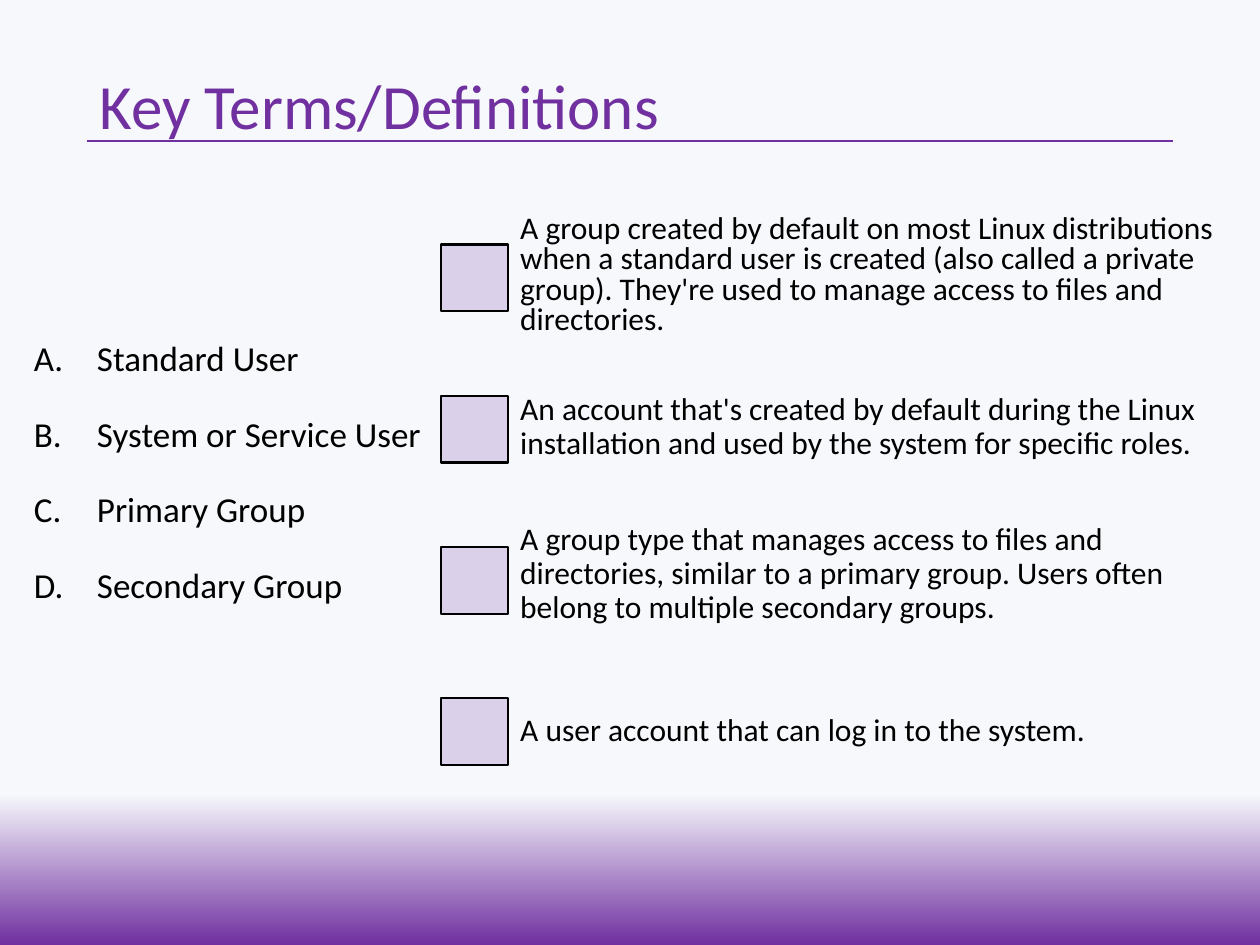
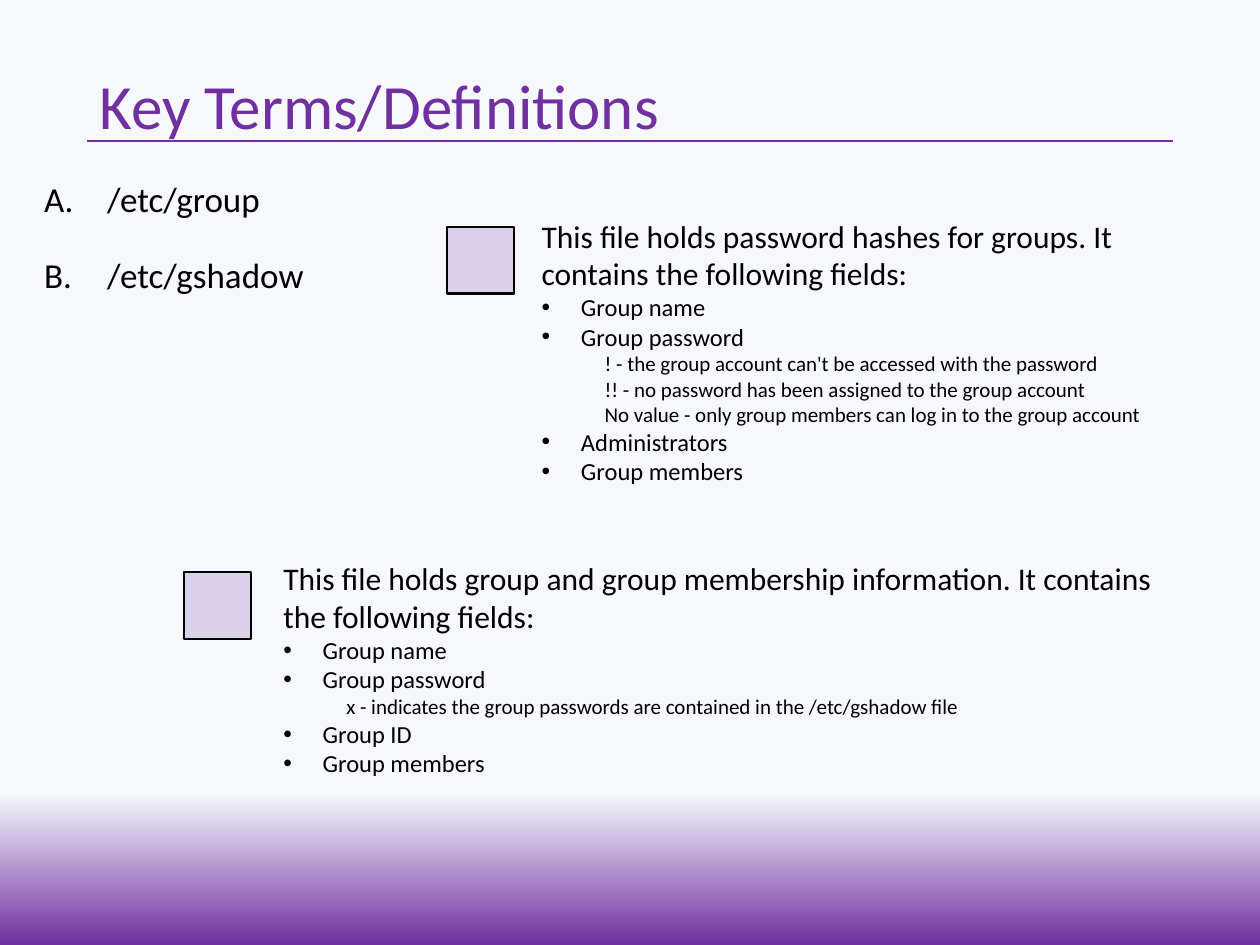
import pptx
import pptx.dml.color
import pptx.enum.shapes
import pptx.enum.text
import pptx.oxml.ns
import pptx.util
from lxml import etree

Pt = pptx.util.Pt
FONT = "Calibri"
PURPLE, PALE, BLACK = "7030A0", "F6F8FC", "000000"
BLANK_SIZE = 38.2

DEFINITIONS = [  # top, height, line spacing, wording
    (119.5, 82.8, 0.8, "A group created by default on most Linux distributions when a "
     "standard user is created (also called a private group). They're used to "
     "manage access to files and directories."),
    (221, 49.7, 0.9, "An account that's created by default during the Linux "
     "installation and used by the system for specific roles."),
    (295.2, 71.3, 0.9, "A group type that manages access to files and directories, "
     "similar to a primary group. Users often belong to multiple secondary groups."),
    (404.6, 30.2, 0.9, "A user account that can log in to the system."),
]

GSHADOW_FIELDS = [
    ("intro", "This file holds password hashes for groups. It contains the following fields:"),
    ("field", "Group name"),
    ("field", "Group password"),
    ("value", "! - the group account can't be accessed with the password"),
    ("value", "!! - no password has been assigned to the group account"),
    ("value", "No value - only group members can log in to the group account"),
    ("field", "Administrators"),
    ("field", "Group members"),
]

GROUP_FIELDS = [
    ("intro", "This file holds group and group membership information. "
     "It contains the following fields:"),
    ("field", "Group name"),
    ("field", "Group password"),
    ("value", "x - indicates the group passwords are contained in the /etc/gshadow file"),
    ("field", "Group ID"),
    ("field", "Group members"),
]

FIELD_SIZES = {"intro": 18, "field": 14, "value": 12}


def rgb(hex_color):
    return pptx.dml.color.RGBColor.from_string(hex_color)


def add_xml(parent, tag, **attributes):
    return etree.SubElement(parent, pptx.oxml.ns.qn(tag), **attributes)


def indent(paragraph, left, first=0):
    properties = paragraph._p.get_or_add_pPr()
    properties.set("marL", str(Pt(left)))
    properties.set("indent", str(Pt(first)))
    return properties


class Deck:
    def __init__(self):
        self.prs = pptx.Presentation()
        self.prs.slide_width, self.prs.slide_height = Pt(720), Pt(540)
        self.slide = None
        backdrop = self.prs.slide_master.background.fill
        backdrop.gradient()
        backdrop.gradient_angle = 270
        for stop, color, position in zip(backdrop.gradient_stops, (PALE, PURPLE), (0.84, 1)):
            stop.color.rgb = rgb(color)
            stop.position = position

    def start_slide(self, title):
        """Add a slide with the shared title and the rule under it."""
        self.slide = self.prs.slides.add_slide(self.prs.slide_layouts[1])
        heading = self.slide.shapes.title
        frame = self.place(heading, 49.7, 23.8, 620.6, 77)
        frame.vertical_anchor = pptx.enum.text.MSO_ANCHOR.MIDDLE
        self.set_text(frame.paragraphs[0], title, 36, PURPLE, 0.9)
        rule = self.slide.shapes.add_connector(
            pptx.enum.shapes.MSO_CONNECTOR.STRAIGHT, Pt(49.7), Pt(80.6), Pt(670.3), Pt(80.6))
        rule.line.color.rgb = rgb(PURPLE)
        rule.line.width = Pt(1.5)
        add_xml(rule._element.spPr, "a:effectLst")

    def place(self, shape, left, top, width, height):
        shape.left, shape.top = Pt(left), Pt(top)
        shape.width, shape.height = Pt(width), Pt(height)
        frame = shape.text_frame
        frame.word_wrap = True
        frame.auto_size = pptx.enum.text.MSO_AUTO_SIZE.NONE
        frame.vertical_anchor = pptx.enum.text.MSO_ANCHOR.TOP
        return frame

    def set_text(self, paragraph, text, size, color=BLACK, spacing=1.0, before=0):
        paragraph.alignment = pptx.enum.text.PP_ALIGN.LEFT
        paragraph.line_spacing = spacing
        paragraph.space_before = Pt(before)
        run = paragraph.add_run()
        run.text = text
        run.font.name, run.font.size = FONT, Pt(size)
        run.font.color.rgb = rgb(color)

    def paragraphs(self, frame, items):
        """Pair each item with its own paragraph of the frame."""
        for index, item in enumerate(items):
            yield (frame.add_paragraph() if index else frame.paragraphs[0]), item

    def terms(self, names, left, top, width, height):
        """Fill the body placeholder with a lettered list."""
        frame = self.place(self.slide.placeholders[1], left, top, width, height)
        for number, (paragraph, name) in enumerate(self.paragraphs(frame, names)):
            add_xml(indent(paragraph, 36, -36), "a:buAutoNum", type="alphaUcPeriod")
            self.set_text(paragraph, name, 20, spacing=0.9, before=21.6 if number else 0)

    def textbox(self, left, top, width, height):
        box = self.slide.shapes.add_textbox(0, 0, 0, 0)
        return self.place(box, left, top, width, height)

    def definition(self, text, top, height, spacing):
        frame = self.textbox(290.2, top, 424.8, height)
        self.set_text(frame.paragraphs[0], text, 18, spacing=spacing)

    def file_description(self, lines, left, top, width, height):
        frame = self.textbox(left, top, width, height)
        for paragraph, (role, text) in self.paragraphs(frame, lines):
            if role == "field":
                properties = indent(paragraph, 22.5, -22.5)
                add_xml(properties, "a:buFont", typeface="Arial")
                add_xml(properties, "a:buChar", char="•")
            elif role == "value":
                paragraph.level = 1
                indent(paragraph, 36)
            self.set_text(paragraph, text, FIELD_SIZES[role])

    def answer_blank(self, left, top):
        blank = self.slide.shapes.add_shape(
            pptx.enum.shapes.MSO_SHAPE.RECTANGLE,
            Pt(left), Pt(top), Pt(BLANK_SIZE), Pt(BLANK_SIZE))
        blank.shadow.inherit = False
        blank.fill.solid()
        blank.fill.fore_color.rgb = rgb(PURPLE)
        tint = blank._element.spPr.find(".//" + pptx.oxml.ns.qn("a:srgbClr"))
        add_xml(tint, "a:alpha", val="20000")
        blank.line.color.rgb = rgb(BLACK)
        blank.line.width = Pt(1.25)


def main():
    deck = Deck()

    deck.start_slide("Key Terms/Definitions")
    deck.terms(["Standard User", "System or Service User", "Primary Group", "Secondary Group"],
               12.2, 191.5, 259.2, 183.6)
    for row, (top, height, spacing, text) in enumerate(DEFINITIONS):
        deck.definition(text, top, height, spacing)
        deck.answer_blank(252, 139.7 + 86.4 * row)

    deck.start_slide("Key Terms/Definitions")
    deck.terms(["/etc/group", "/etc/gshadow"], 18, 100.8, 192.2, 85.7)
    deck.file_description(GSHADOW_FIELDS, 302.4, 120.2, 380.2, 167)
    deck.file_description(GROUP_FIELDS, 154.8, 316.1, 527.8, 133.2)
    deck.answer_blank(255.6, 129.6)
    deck.answer_blank(105.1, 326.9)

    deck.prs.save("out.pptx")


if __name__ == "__main__":
    main()
